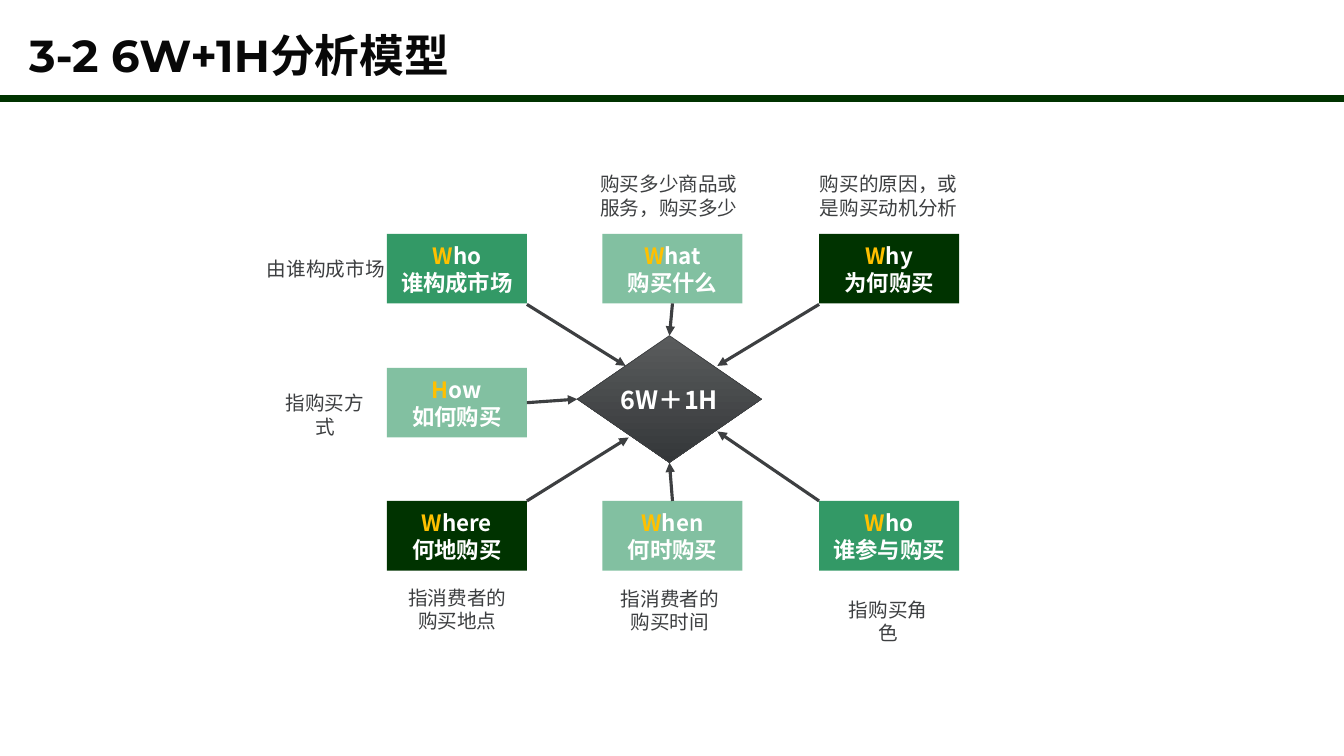
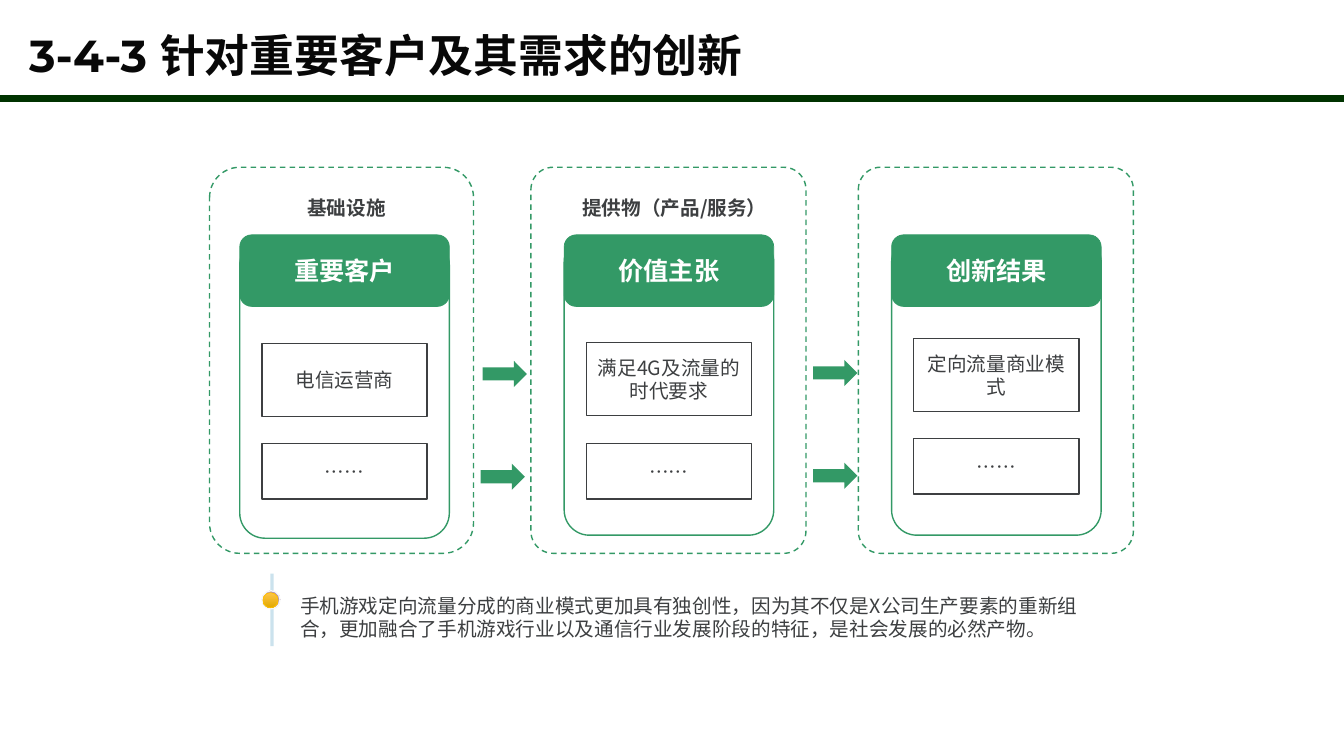
"""Build two slides: the 6W+1H analysis model and innovation for key customers."""
import lxml.etree
import pptx
import pptx.dml.color
import pptx.enum.dml
import pptx.enum.shapes
import pptx.enum.text
import pptx.oxml.ns
import pptx.util

Inches = pptx.util.Inches
Pt = pptx.util.Pt
RGBColor = pptx.dml.color.RGBColor
SHAPE = pptx.enum.shapes.MSO_SHAPE
ANCHOR = pptx.enum.text.MSO_ANCHOR
CENTER = pptx.enum.text.PP_ALIGN.CENTER
LEFT = pptx.enum.text.PP_ALIGN.LEFT
qn = pptx.oxml.ns.qn

BLACK = RGBColor(0x08, 0x08, 0x08)
WHITE = RGBColor(0xFF, 0xFF, 0xFF)
DARK_GREEN = RGBColor(0x00, 0x33, 0x00)
GREEN = RGBColor(0x33, 0x99, 0x66)
GREY = RGBColor(0x3D, 0x3F, 0x41)
GREY_LIGHT = RGBColor(0x5A, 0x5C, 0x5D)
GREY_DARK = RGBColor(0x34, 0x37, 0x39)
ORANGE = RGBColor(0xFF, 0xC0, 0x00)
ORANGE_LIGHT = RGBColor(0xFF, 0xC5, 0x48)
ORANGE_DARK = RGBColor(0xE1, 0xA9, 0x00)
LILAC_LIGHT = RGBColor(0xE5, 0xDB, 0xE5)
LILAC_DARK = RGBColor(0xA5, 0x7D, 0xA5)
PALE = RGBColor(0xF8, 0xF8, 0xF8)
BLUE = RGBColor(0x98, 0xC7, 0xDC)
TITLE_FONT = "Montserrat"
BODY_FONT = "Noto Sans CJK SC"


def add_block(page, kind, at, text="", size=14, color=GREY, bold=False, align=CENTER,
              wrap=True, font=BODY_FONT, fill=None, line=None, weight=1):
    """Add a shape, or a text box when kind is None; a list as fill is a gradient."""
    place = [Inches(value) for value in at]
    if kind is None:
        box = page.shapes.add_textbox(*place)
    else:
        box = page.shapes.add_shape(kind, *place)
        box.shadow.inherit = False
        if isinstance(fill, list):
            *stops, angle = fill
            box.fill.gradient()
            box.fill.gradient_angle = angle
            for stop, stop_color in zip(box.fill.gradient_stops, stops):
                stop.color.rgb = stop_color
        elif fill is not None:
            box.fill.solid()
            box.fill.fore_color.rgb = fill
        else:
            box.fill.background()
        if line is not None:
            box.line.color.rgb = line
            box.line.width = Pt(weight)
        else:
            box.line.fill.background()
    frame = box.text_frame
    frame.word_wrap = wrap
    frame.vertical_anchor = ANCHOR.TOP if kind is None else ANCHOR.MIDDLE
    if text:
        frame.text = text
        for paragraph in frame.paragraphs:
            paragraph.alignment = align
            paragraph.font.size = Pt(size)
            paragraph.font.bold = bold
            paragraph.font.color.rgb = color
            paragraph.font.name = font
            defaults = paragraph._p.pPr.find(qn("a:defRPr"))
            lxml.etree.SubElement(defaults, qn("a:ea"), typeface=BODY_FONT)
    return box


def add_line(page, start, end, color, weight):
    """Add a straight connector without a shadow."""
    line = page.shapes.add_connector(
        pptx.enum.shapes.MSO_CONNECTOR.STRAIGHT, *[Inches(value) for value in start + end])
    line.line.color.rgb = color
    line.line.width = Pt(weight)
    lxml.etree.SubElement(line._element.spPr, qn("a:effectLst"))
    return line


deck = pptx.Presentation()
deck.slide_width = Inches(13.34)
deck.slide_height = Inches(7.5)

pages = []
for title in ("3-2 6W+1H分析模型", "3-4-3 针对重要客户及其需求的创新"):
    page = deck.slides.add_slide(deck.slide_layouts[6])
    heading = add_block(page, None, (0.19, 0.29, 12.09, 0.77), title, size=32, color=BLACK,
                        bold=True, align=LEFT, font=TITLE_FONT)
    heading.text_frame.paragraphs[0].line_spacing = 0.9
    add_line(page, (0, 0.98), (13.34, 0.98), DARK_GREEN, 4.75)
    pages.append(page)
model_page, innovation_page = pages

diamond = add_block(model_page, SHAPE.FLOWCHART_DECISION, (5.73, 3.33, 1.83, 1.26), "6W＋1H",
                    size=18, color=WHITE, bold=True, wrap=False,
                    fill=[GREY_LIGHT, GREY_DARK, 270], line=GREY, weight=0.5)

CARD_LEFTS = (3.84, 5.98, 8.13)
CARD_TOPS = (2.32, 3.65, 4.97)
cards = {}
for column, row, word, meaning, fill, pale in (
    (0, 0, "Who", "谁构成市场", GREEN, False),
    (1, 0, "What", "购买什么", GREEN, True),
    (2, 0, "Why", "为何购买", DARK_GREEN, False),
    (2, 2, "Who", "谁参与购买", GREEN, False),
    (1, 2, "When", "何时购买", GREEN, True),
    (0, 2, "Where", "何地购买", DARK_GREEN, False),
    (0, 1, "How", "如何购买", GREEN, True),
):
    card = add_block(model_page, SHAPE.RECTANGLE,
                     (CARD_LEFTS[column], CARD_TOPS[row], 1.39, 0.69), f"{word}\n{meaning}",
                     size=16, color=WHITE, bold=True, wrap=False, fill=fill)
    paragraph = card.text_frame.paragraphs[0]
    initial = paragraph.runs[0]
    initial.text = word[0]
    initial.font.color.rgb = ORANGE
    paragraph.add_run().text = word[1:]
    if pale:
        tint = card._element.spPr.find(qn("a:solidFill"))[0]
        lxml.etree.SubElement(tint, qn("a:alpha"), val="61000")
    cards[column, row] = card

for start, end, joined in (
    ((5.23, 3.02), (6.21, 3.63), None),
    ((5.23, 3.96), (5.73, 3.96), ((0, 1), 3, 1)),
    ((5.23, 4.97), (6.24, 4.34), None),
    ((6.68, 4.97), (6.68, 4.59), ((1, 2), 0, 2)),
    ((8.13, 4.97), (7.12, 4.28), None),
    ((8.13, 3.02), (7.12, 3.63), None),
    ((6.68, 3.02), (6.68, 3.36), ((1, 0), 2, 0)),
):
    arrow = add_line(model_page, start, end, GREY, 2.25)
    outline = arrow._element.spPr.find(qn("a:ln"))
    lxml.etree.SubElement(outline, qn("a:tailEnd"), type="triangle")
    if joined:
        cell, card_side, diamond_side = joined
        arrow.begin_connect(cards[cell], card_side)
        arrow.end_connect(diamond, diamond_side)

for at, text, align, wrap in (
    ((5.86, 1.66, 1.64, 0.57), "购买多少商品或服务，购买多少", LEFT, True),
    ((8.04, 1.66, 1.69, 0.57), "购买的原因，或是购买动机分析", LEFT, True),
    ((6.03, 5.77, 1.24, 0.57), "指消费者的购买时间", CENTER, True),
    ((3.88, 5.76, 1.32, 0.57), "指消费者的购买地点", CENTER, True),
    ((8.23, 5.88, 1.17, 0.34), "指购买角色", CENTER, False),
    ((2.64, 3.83, 1.17, 0.34), "指购买方式", CENTER, False),
    ((2.55, 2.5, 1.37, 0.34), "由谁构成市场", CENTER, False),
):
    add_block(model_page, None, at, text, align=align, wrap=wrap)

for panel_left, panel_width, panel_radius, frame_left, frame_top, item_tops, header, item in (
    (2.08, 2.62, 0.3, 2.38, 2.38, (3.41, 4.4), "重要客户", "电信运营商"),
    (5.27, 2.73, 0.22, 5.6, 2.35, (3.4, 4.4), "价值主张", "满足4G及流量的时代要求"),
    (8.52, 2.73, 0.22, 8.85, 2.35, (3.36, 4.35), "创新结果", "定向流量商业模式"),
):
    panel = add_block(innovation_page, SHAPE.ROUNDED_RECTANGLE,
                      (panel_left, 1.66, panel_width, 3.83), line=GREEN)
    panel.adjustments[0] = panel_radius / panel_width
    panel.line.dash_style = pptx.enum.dml.MSO_LINE.DASH
    frame = add_block(innovation_page, SHAPE.ROUNDED_RECTANGLE,
                      (frame_left, frame_top, 2.08, 2.96), line=GREEN)
    frame.adjustments[0] = 0.12
    add_block(innovation_page, SHAPE.ROUNDED_RECTANGLE, (frame_left, 2.33, 2.08, 0.71), header,
              size=18, color=WHITE, bold=True, fill=GREEN, line=GREEN, weight=0.5)
    for top, height, text in zip(item_tops, (0.72, 0.55), (item, "……")):
        add_block(innovation_page, SHAPE.RECTANGLE, (frame_left + 0.22, top, 1.64, height),
                  text, line=GREY)

for left, width, text in ((2.95, 0.98, "基础设施"), (5.63, 2.13, "提供物（产品/服务）")):
    add_block(innovation_page, None, (left, 1.89, width, 0.34), text, bold=True, wrap=False)

for left, top in ((4.79, 3.58), (4.77, 4.6), (8.07, 3.57), (8.07, 4.59)):
    add_block(innovation_page, SHAPE.RIGHT_ARROW, (left, top, 0.44, 0.26), fill=GREEN)

add_block(innovation_page, None, (2.88, 5.84, 7.93, 0.57),
          "手机游戏定向流量分成的商业模式更加具有独创性，因为其不仅是X公司生产要素的重新组合，"
          "更加融合了手机游戏行业以及通信行业发展阶段的特征，是社会发展的必然产物。", align=LEFT)
stem = add_line(innovation_page, (2.7, 5.69), (2.7, 6.41), BLUE, 2.25)
stem_color = stem._element.spPr.find(qn("a:ln")).find(qn("a:solidFill"))[0]
lxml.etree.SubElement(stem_color, qn("a:alpha"), val="50000")
add_block(innovation_page, SHAPE.OVAL, (2.6, 5.86, 0.18, 0.18),
          fill=[LILAC_LIGHT, LILAC_DARK, 45], line=PALE)
add_block(innovation_page, SHAPE.OVAL, (2.61, 5.88, 0.15, 0.15),
          fill=[ORANGE_LIGHT, ORANGE_DARK, 270], line=ORANGE, weight=0.5)

deck.save("out.pptx")
